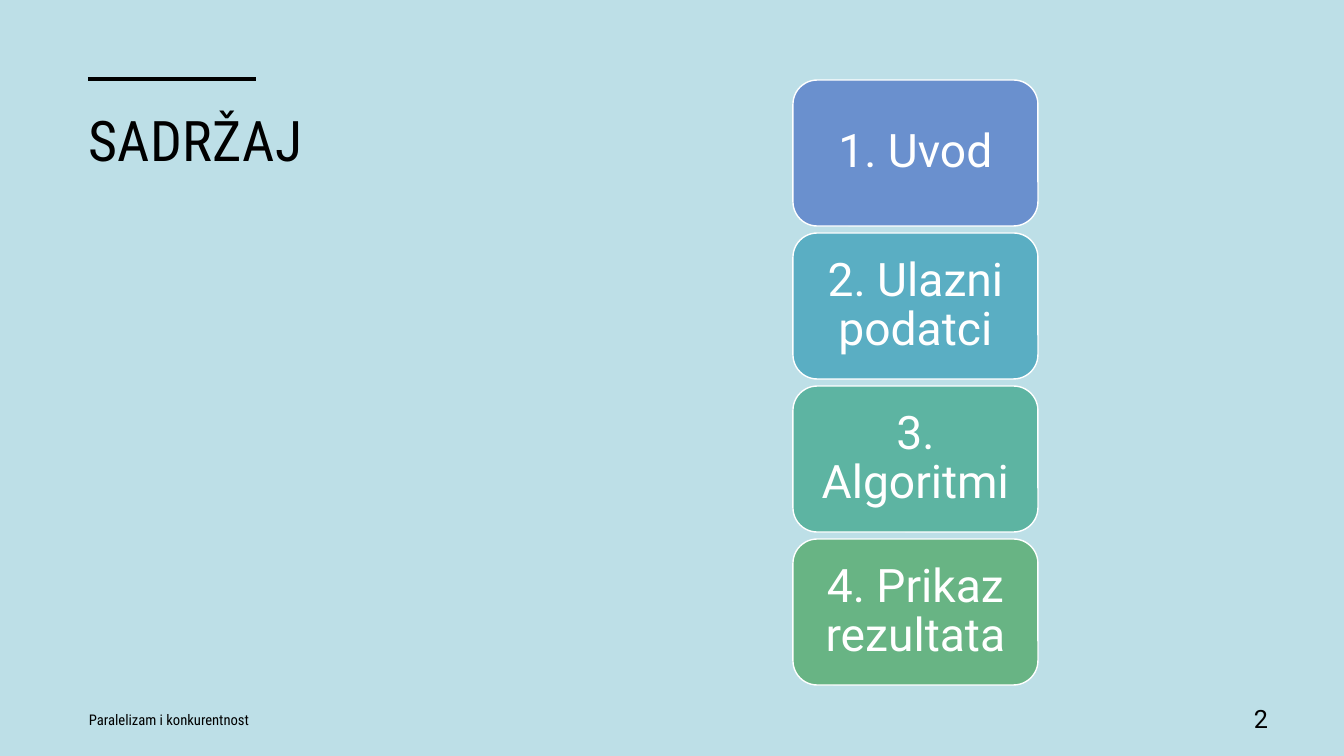
import pptx
import pptx.util
import pptx.dml.color
import pptx.enum.shapes
import pptx.enum.text
import pptx.oxml

Pt = pptx.util.Pt
RGBColor = pptx.dml.color.RGBColor
ALIGN = pptx.enum.text.PP_ALIGN
ANCHOR = pptx.enum.text.MSO_ANCHOR

BACKGROUND = RGBColor(0xBD, 0xDF, 0xE7)
BLACK = RGBColor(0, 0, 0)
WHITE = RGBColor(0xFF, 0xFF, 0xFF)
BLUE = RGBColor(0x6A, 0x90, 0xCE)
CYAN = RGBColor(0x5A, 0xAE, 0xC3)
TEAL = RGBColor(0x5D, 0xB4, 0xA2)
GREEN = RGBColor(0x68, 0xB4, 0x84)

SLIDE_W, SLIDE_H = 1344, 756
SCALE = 12192000 / SLIDE_W


def px(n):
    return pptx.util.Emu(round(n * SCALE))


def write(sp, text, font, size, color, align, anchor, spacing=1.0):
    tf = sp.text_frame
    tf.word_wrap = True
    tf.auto_size = pptx.enum.text.MSO_AUTO_SIZE.NONE
    tf.vertical_anchor = anchor
    p = tf.paragraphs[0]
    p.alignment = align
    p.line_spacing = spacing
    r = p.add_run()
    r.text = text
    r.font.name = font
    r.font.size = Pt(size)
    r.font.color.rgb = color
    return r


prs = pptx.Presentation()
prs.slide_width, prs.slide_height = px(SLIDE_W), px(SLIDE_H)
s = prs.slides.add_slide(prs.slide_layouts[5])
s.background.fill.solid()
s.background.fill.fore_color.rgb = BACKGROUND

rule = s.shapes.add_connector(
    pptx.enum.shapes.MSO_CONNECTOR.STRAIGHT, px(88), px(79), px(256), px(79))
rule.line.color.rgb = BLACK
rule.line.width = Pt(3.5)
rule._element.spPr.append(pptx.oxml.parse_xml(
    '<a:effectLst xmlns:a="http://schemas.openxmlformats.org/drawingml/2006/main"/>'))

title = s.shapes.title
title.left, title.top, title.width, title.height = px(78), px(100), px(431), px(438)
r = write(title, "SADRŽAJ", "Roboto Condensed", 40, BLACK, ALIGN.LEFT, ANCHOR.TOP)
r._r.get_or_add_rPr().set("spc", "30")

footers = [
    (79, 500, "Paralelizam i konkurentnost", "Roboto Condensed", 10.5, ALIGN.LEFT, 1.0),
    (1203, 75, "2", "Roboto", 18, ALIGN.RIGHT, 0.9),
]
for left, width, text, font, size, align, spacing in footers:
    sp = s.shapes.add_textbox(px(left), px(700), px(width), px(40))
    write(sp, text, font, size, BLACK, align, ANCHOR.MIDDLE, spacing)

CARD_LEFT, CARD_TOP, CARD_W, CARD_H, CARD_STEP = 793, 80, 245, 146, 153
topics = [
    ("1. Uvod", BLUE),
    ("2. Ulazni podatci", CYAN),
    ("3. Algoritmi", TEAL),
    ("4. Prikaz rezultata", GREEN),
]
for i, (text, color) in enumerate(topics):
    sp = s.shapes.add_shape(
        pptx.enum.shapes.MSO_SHAPE.ROUNDED_RECTANGLE,
        px(CARD_LEFT), px(CARD_TOP + i * CARD_STEP), px(CARD_W), px(CARD_H))
    sp.shadow.inherit = False
    sp.fill.solid()
    sp.fill.fore_color.rgb = color
    sp.line.color.rgb = WHITE
    sp.line.width = Pt(1)
    tf = sp.text_frame
    tf.margin_left = tf.margin_right = px(14)
    tf.margin_top = tf.margin_bottom = px(7)
    write(sp, text, "Roboto", 33, WHITE, ALIGN.CENTER, ANCHOR.MIDDLE, 0.9)

prs.save("out.pptx")
